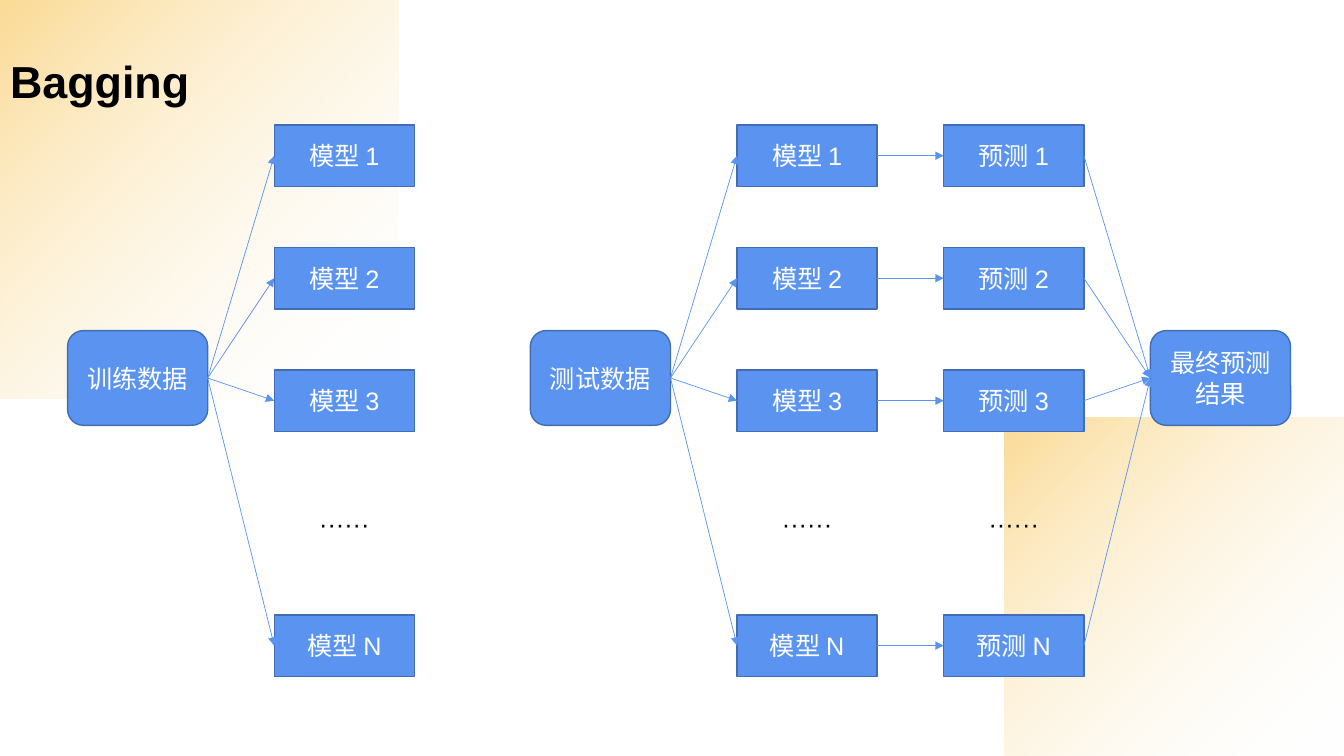
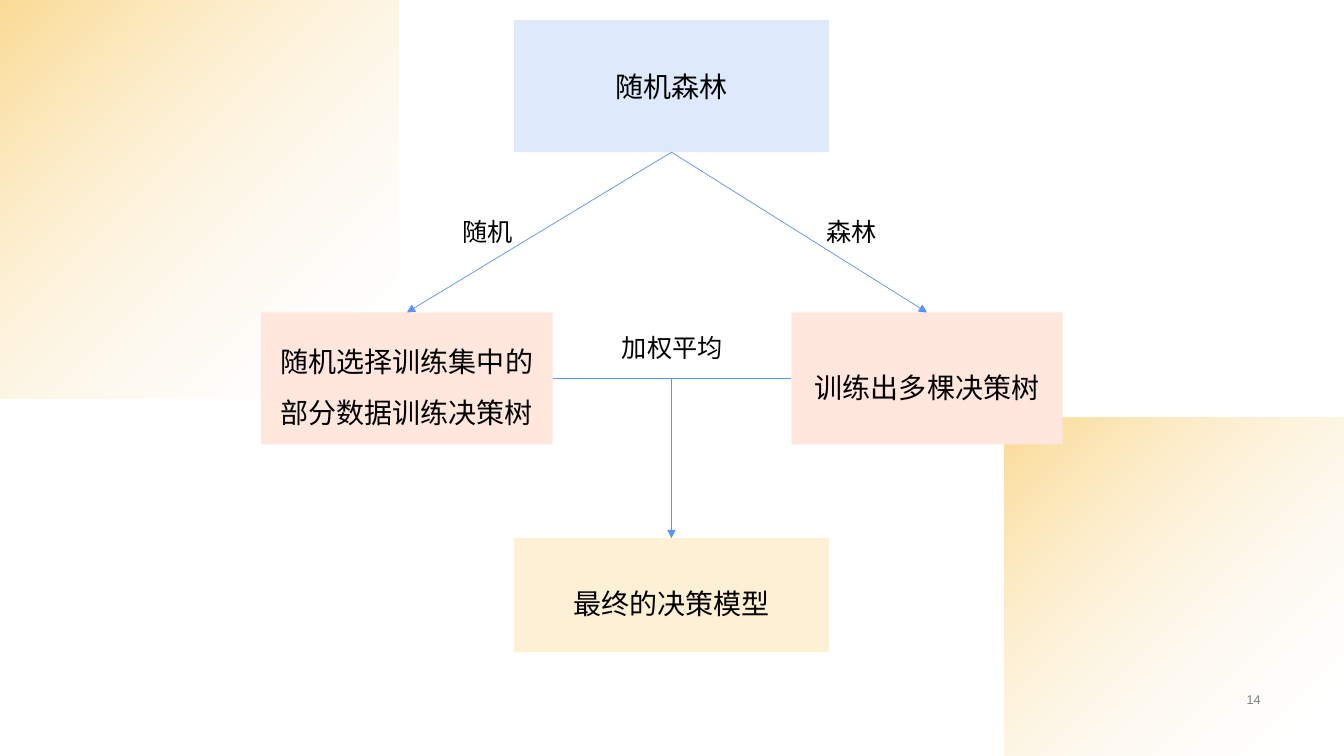
from pptx import Presentation
from pptx.dml.color import RGBColor
from pptx.enum.shapes import MSO_CONNECTOR, MSO_SHAPE
from pptx.enum.text import MSO_ANCHOR, MSO_AUTO_SIZE, PP_ALIGN
from pptx.oxml import parse_xml
from pptx.oxml.ns import nsdecls, qn
from pptx.util import Inches, Pt
from lxml.etree import SubElement

FONT = "Arial"
BLUE = RGBColor(0x5A, 0x94, 0xF0)
EDGE = RGBColor(0x43, 0x6D, 0xB2)
PALE = RGBColor(0xDE, 0xEA, 0xFC)
PINK = RGBColor(0xFF, 0xE7, 0xDD)
CREAM = RGBColor(0xFD, 0xF0, 0xD4)
GOLD = RGBColor(0xF7, 0xB6, 0x29)
WHITE = RGBColor(0xFF, 0xFF, 0xFF)
BLACK = RGBColor(0, 0, 0)
GREY = RGBColor(0x80, 0x80, 0x80)

RECT, ROUND = MSO_SHAPE.RECTANGLE, MSO_SHAPE.ROUNDED_RECTANGLE
TOP, LEFT, BOTTOM, RIGHT = range(4)

NODE_W, NODE_H, HUB_H = 1.39, 0.61, 0.94
STEP = 2.05  # from one column to the next
ROWS = ["1", "2", "3", None, "N"]
GRID_Y, GRID_H = 1.24, 5.47


def place(box):
    return [Inches(n) for n in box]


def write(shape, text, size, color, align=PP_ALIGN.CENTER,
          anchor=MSO_ANCHOR.MIDDLE, spacing=None, bold=None):
    frame = shape.text_frame
    frame.text = text
    frame.vertical_anchor = anchor
    para = frame.paragraphs[0]
    para.alignment = align
    para.line_spacing = spacing
    font = para.font
    font.name, font.size, font.bold = FONT, Pt(size), bold
    font.color.rgb = color


def add_box(slide, box, fill, kind=RECT, edge=None):
    shape = slide.shapes.add_shape(kind, *place(box))
    shape.shadow.inherit = False
    shape.fill.solid()
    shape.fill.fore_color.rgb = fill
    if edge is None:
        shape.line.fill.background()
    else:
        shape.line.color.rgb = edge
        shape.line.width = Pt(1)
    return shape


def add_text(slide, box, text, size, color=BLACK, wrap=True, **style):
    shape = slide.shapes.add_textbox(*place(box))
    write(shape, text, size, color, **style)
    shape.text_frame.word_wrap = wrap
    return shape


def join(slide, start, side, end, goal, head=True):
    """Draw a line between two sides; start may also be a point."""
    line = slide.shapes.add_connector(MSO_CONNECTOR.STRAIGHT, 0, 0, 0, 0)
    if side is None:
        line.begin_x, line.begin_y = place(start)
    else:
        line.begin_connect(start, side)
    line.end_connect(end, goal)
    line.line.color.rgb = BLUE
    line.line.width = Pt(0.5)
    props = line.element.spPr
    if head:
        SubElement(props.find(qn("a:ln")), qn("a:tailEnd"), type="triangle")
    SubElement(props, qn("a:effectLst"))


def add_glow(slide, master, box):
    """Put a fading gold square at the back of the slide master."""
    shape = add_box(slide, box, GOLD)
    props = shape.element.spPr
    fade = parse_xml(
        f'<a:gradFill {nsdecls("a")} rotWithShape="1"><a:gsLst>'
        f'<a:gs pos="0"><a:srgbClr val="{GOLD}"><a:alpha val="50000"/></a:srgbClr></a:gs>'
        f'<a:gs pos="100000"><a:srgbClr val="{WHITE}"><a:alpha val="0"/></a:srgbClr></a:gs>'
        '</a:gsLst><a:path path="circle"><a:fillToRect r="100000" b="100000"/></a:path>'
        '</a:gradFill>')
    props.replace(props.find(qn("a:solidFill")), fade)
    master.shapes.element.insert(2, shape.element)


def add_node(slide, box, text, kind=RECT):
    shape = add_box(slide, box, BLUE, kind, EDGE)
    write(shape, text, 18, WHITE)
    return shape


def add_hub(slide, x, text):
    y = 3.75 - HUB_H / 2
    return add_node(slide, (x, y, NODE_W, HUB_H), text, ROUND)


def add_stack(slide, x, label):
    """Stack the numbered nodes, with dots in the open row."""
    pitch = (GRID_H - NODE_H) / (len(ROWS) - 1)
    nodes = []
    for i, row in enumerate(ROWS):
        box = (x, GRID_Y + i * pitch, NODE_W, NODE_H)
        if row is None:
            add_text(slide, box, "······", 18)
        else:
            nodes.append(add_node(slide, box, f"{label} {row}"))
    return nodes


def add_fan(slide, x, text):
    """Draw a data hub and the models that it feeds."""
    hub = add_hub(slide, x, text)
    models = add_stack(slide, x + STEP, "模型")
    for model in models:
        join(slide, hub, RIGHT, model, LEFT)
    return models


def add_vote(slide, x, models):
    """Draw the predictions of the models and their joint result."""
    guesses = add_stack(slide, x, "预测")
    result = add_hub(slide, x + STEP, "最终预测结果")
    for model, guess in zip(models, guesses):
        join(slide, model, RIGHT, guess, LEFT)
        join(slide, guess, RIGHT, result, LEFT)


def fill_bagging(slide):
    title = slide.shapes.title
    title.left, title.top, title.width, title.height = place((0, 0, 11.88, 1.12))
    write(title, "Bagging", 32, BLACK, PP_ALIGN.LEFT, MSO_ANCHOR.BOTTOM, 0.9, True)
    title.text_frame.auto_size = MSO_AUTO_SIZE.NONE
    add_fan(slide, 0.67, "训练数据")
    test_x = 5.26
    models = add_fan(slide, test_x, "测试数据")
    add_vote(slide, test_x + 2 * STEP, models)


def fill_forest(slide):
    add_text(slide, (9.81, 6.82, 2.79, 0.23), "14", 9, GREY, align=PP_ALIGN.RIGHT)
    cards = []
    for box, fill, text, spacing in [
        ((5.1, 0.2, 3.12, 1.31), PALE, "随机森林", None),
        ((2.59, 3.1, 2.89, 1.31), PINK, "随机选择训练集中的部分数据训练决策树", 1.5),
        ((7.85, 3.1, 2.69, 1.31), PINK, "训练出多棵决策树", 1.5),
        ((5.1, 5.34, 3.12, 1.13), CREAM, "最终的决策模型", 1.5),
    ]:
        card = add_box(slide, box, fill)
        write(card, text, 20, BLACK, spacing=spacing)
        cards.append(card)
    root, sample, trees, final = cards
    join(slide, root, BOTTOM, sample, TOP)
    join(slide, root, BOTTOM, trees, TOP)
    join(slide, sample, RIGHT, trees, LEFT, head=False)
    join(slide, (6.66, 3.75), None, final, TOP)
    for x, y, width, text in [(4.49, 2.1, 0.71, "随机"), (8.1, 2.1, 0.71, "森林"),
                              (6.07, 3.25, 1.21, "加权平均")]:
        add_text(slide, (x, y, width, 0.4), text, 18, wrap=False,
                 align=PP_ALIGN.LEFT, anchor=MSO_ANCHOR.TOP)


def main():
    prs = Presentation()
    prs.slide_width, prs.slide_height = Inches(13.33), Inches(7.5)
    layouts = prs.slide_layouts
    bagging = prs.slides.add_slide(layouts.get_by_name("Title Only"))
    for box in [(0, 0, 3.95, 3.95), (9.96, 4.14, 3.37, 3.36)]:
        add_glow(bagging, prs.slide_master, box)
    fill_bagging(bagging)
    fill_forest(prs.slides.add_slide(layouts.get_by_name("Blank")))
    prs.save("out.pptx")


if __name__ == "__main__":
    main()
